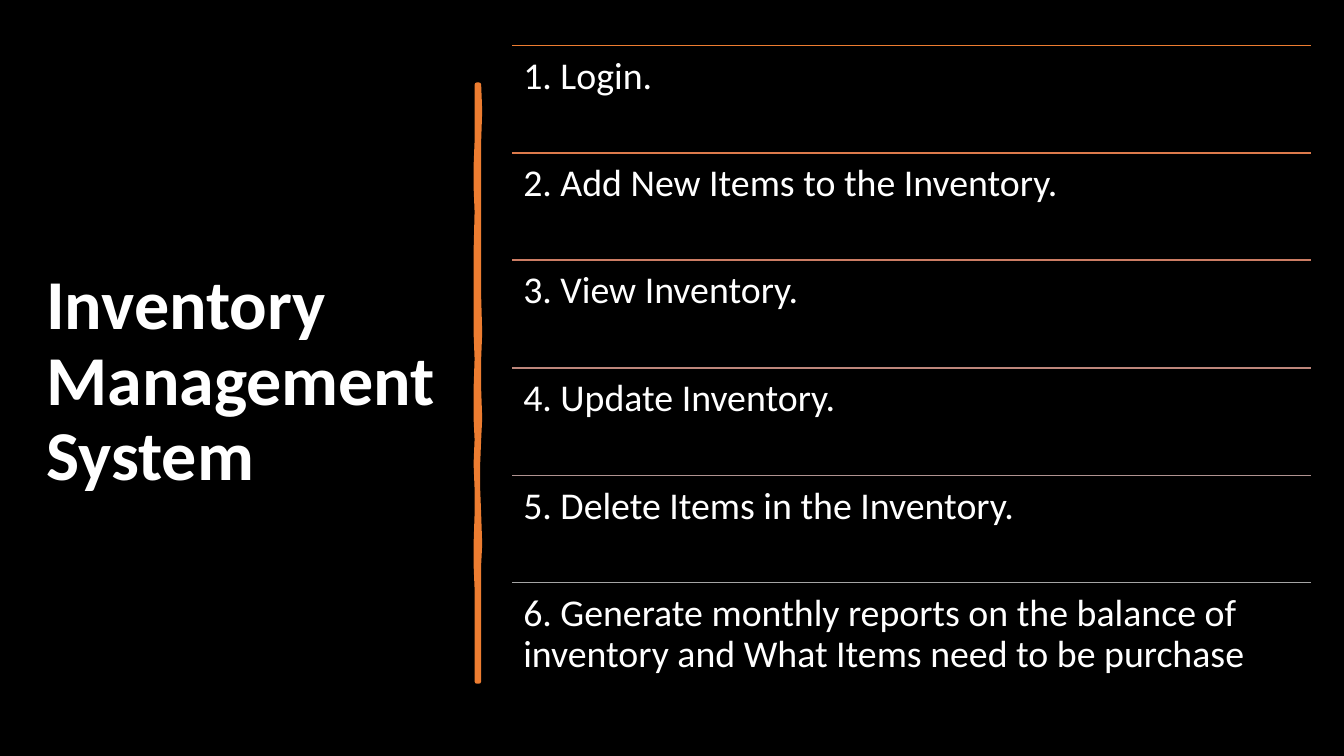
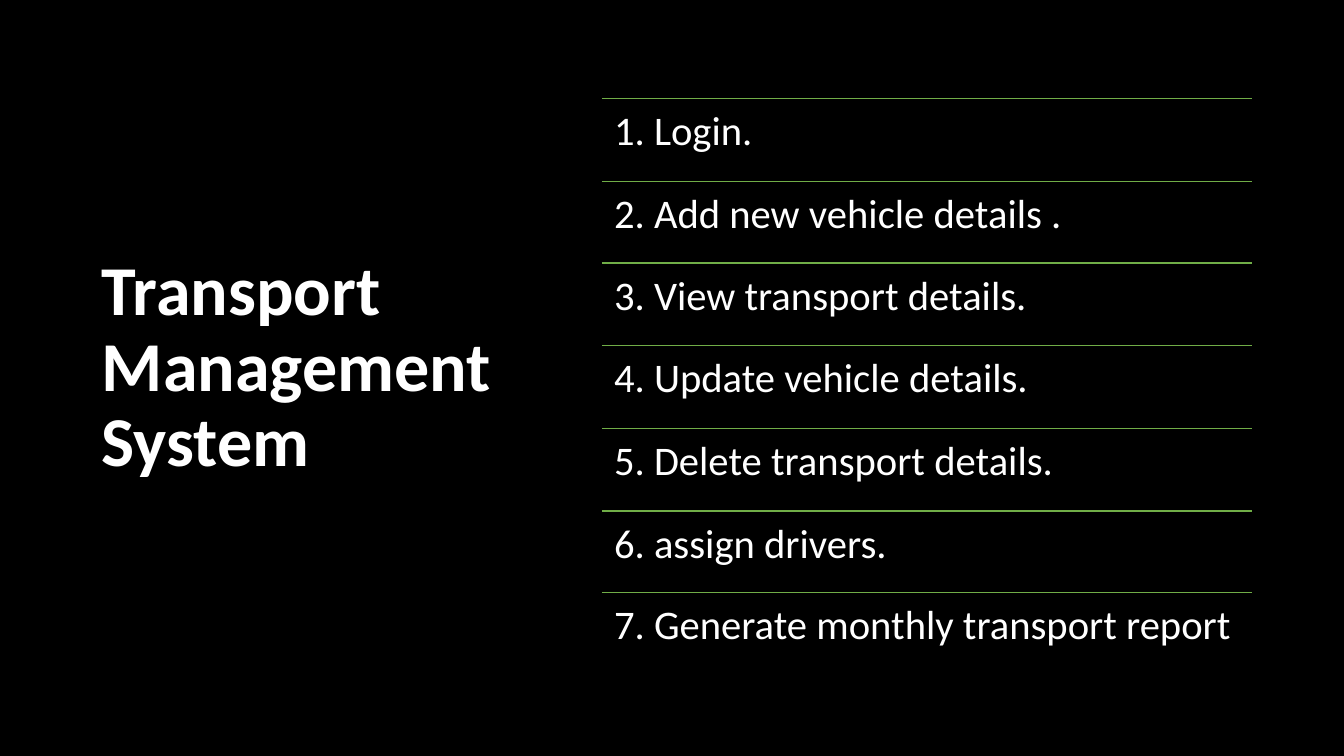
from dataclasses import dataclass

from lxml.etree import SubElement
from pptx import Presentation
from pptx.dml.color import RGBColor
from pptx.enum.shapes import MSO_CONNECTOR
from pptx.enum.text import MSO_ANCHOR, MSO_AUTO_SIZE, PP_ALIGN
from pptx.oxml.ns import qn
from pptx.presentation import Presentation as Deck
from pptx.slide import Slide
from pptx.text.text import TextFrame
from pptx.util import Pt

PX = 9144  # EMU; 100 px to the inch
SLIDE_W, SLIDE_H = 1333, 750
TITLE_ONLY = 5

BLACK = RGBColor(0x00, 0x00, 0x00)
WHITE = RGBColor(0xFF, 0xFF, 0xFF)
ORANGE = RGBColor(0xED, 0x7D, 0x31)
GREEN = RGBColor(0x70, 0xAD, 0x47)
ORANGE_TO_GREY = (
    ORANGE,
    RGBColor(0xDC, 0x7A, 0x4B),
    RGBColor(0xCC, 0x7D, 0x64),
    RGBColor(0xBD, 0x86, 0x7B),
    RGBColor(0xB0, 0x93, 0x91),
    RGBColor(0xA5, 0xA5, 0xA5),
)

TITLE_FONT = {"name": "Calibri", "size": Pt(50), "bold": True}
ITEM_FONT = {"name": "Calibri", "bold": False}

# (y, left x, right x) down the hand-drawn divider
DIVIDER_EDGES = (
    (84, 473, 475), (110, 473, 476), (140, 473, 475), (165, 472, 475),
    (185, 472, 475), (210, 473, 475), (250, 472, 475), (294, 472, 475),
    (330, 472, 476), (356, 473, 475), (386, 472, 475), (415, 472, 476),
    (436, 473, 475), (460, 472, 474), (485, 473, 474), (510, 473, 475),
    (540, 472, 476), (560, 472, 475), (584, 473, 475), (615, 473, 475),
    (650, 473, 475), (676, 473, 475),
)


@dataclass(frozen=True)
class Box:
    left: int
    top: int
    width: int
    height: int

    def emu(self) -> tuple[int, int, int, int]:
        return self.left * PX, self.top * PX, self.width * PX, self.height * PX


@dataclass(frozen=True)
class Agenda:
    title: str
    title_box: Box
    list_box: Box
    inset: int
    size: int
    colors: tuple[RGBColor, ...]
    items: tuple[str, ...]


INVENTORY = Agenda(
    "Inventory Management System",
    Box(36, 74, 420, 611),
    Box(508, 45, 792, 640),
    11,
    27,
    ORANGE_TO_GREY,
    (
        "1. Login.",
        "2. Add New Items to the Inventory.",
        "3. View Inventory.",
        "4. Update Inventory.",
        "5. Delete Items in the Inventory.",
        "6. Generate monthly reports on the balance of inventory "
        "and What Items need to be purchase",
    ),
)
TRANSPORT = Agenda(
    "Transport Management System",
    Box(91, 61, 414, 609),
    Box(597, 98, 645, 572),
    12,
    29,
    (GREEN,) * 7,
    (
        "1. Login.",
        "2. Add new vehicle details .",
        "3. View transport details.",
        "4. Update vehicle details.",
        "5. Delete transport details.",
        "6. assign drivers.",
        "7. Generate monthly transport report",
    ),
)


def write_text(tf: TextFrame, text: str, anchor: MSO_ANCHOR, font: dict) -> None:
    frame_format = {
        "word_wrap": True,
        "auto_size": MSO_AUTO_SIZE.NONE,
        "vertical_anchor": anchor,
    }
    for name, value in frame_format.items():
        setattr(tf, name, value)
    p = tf.paragraphs[0]
    p.alignment = PP_ALIGN.LEFT
    p.line_spacing = 0.9
    r = p.add_run()
    r.text = text
    for name, value in font.items():
        setattr(r.font, name, value)
    r.font.color.rgb = WHITE


def add_title(s: Slide, text: str, box: Box) -> None:
    sp = s.shapes.title
    sp.left, sp.top, sp.width, sp.height = box.emu()
    write_text(sp.text_frame, text, MSO_ANCHOR.MIDDLE, TITLE_FONT)


def add_rule(s: Slide, left: int, right: int, y: int, color: RGBColor) -> None:
    line = s.shapes.add_connector(
        MSO_CONNECTOR.STRAIGHT, left * PX, y * PX, right * PX, y * PX
    )
    line.line.color.rgb = color
    line.line.width = Pt(1)
    SubElement(line._element.spPr, qn("a:effectLst"))


def add_items(s: Slide, agenda: Agenda) -> None:
    """Stack the items in equal rows, each under its own rule."""
    box, count = agenda.list_box, len(agenda.items)
    font = ITEM_FONT | {"size": Pt(agenda.size)}
    for i, (item, color) in enumerate(zip(agenda.items, agenda.colors)):
        top = box.top + round(i * box.height / count)
        row = Box(box.left, top, box.width, round(box.height / count))
        add_rule(s, row.left, row.left + row.width, top, color)
        tf = s.shapes.add_textbox(*row.emu()).text_frame
        for side in ("left", "top", "right", "bottom"):
            setattr(tf, f"margin_{side}", agenda.inset * PX)
        write_text(tf, item, MSO_ANCHOR.TOP, font)


def add_divider(s: Slide) -> None:
    right_edge = [(right, y) for y, _, right in DIVIDER_EDGES]
    left_edge = [(left, y) for y, left, _ in reversed(DIVIDER_EDGES)]
    start, *rest = right_edge + left_edge
    builder = s.shapes.build_freeform(*start, scale=PX)
    builder.add_line_segments(rest, close=True)
    sp = builder.convert_to_shape()
    sp.shadow.inherit = False
    sp.fill.solid()
    sp.fill.fore_color.rgb = ORANGE
    sp.line.color.rgb = ORANGE
    sp.line.width = Pt(3.25)
    SubElement(sp.line._get_or_add_ln(), qn("a:round"))


def add_agenda(prs: Deck, agenda: Agenda) -> Slide:
    s = prs.slides.add_slide(prs.slide_layouts[TITLE_ONLY])
    add_title(s, agenda.title, agenda.title_box)
    add_items(s, agenda)
    return s


def main() -> None:
    prs = Presentation()
    prs.slide_width, prs.slide_height = SLIDE_W * PX, SLIDE_H * PX
    background = prs.slide_master.background.fill
    background.solid()
    background.fore_color.rgb = BLACK
    add_divider(add_agenda(prs, INVENTORY))
    add_agenda(prs, TRANSPORT)
    prs.save("out.pptx")


if __name__ == "__main__":
    main()
